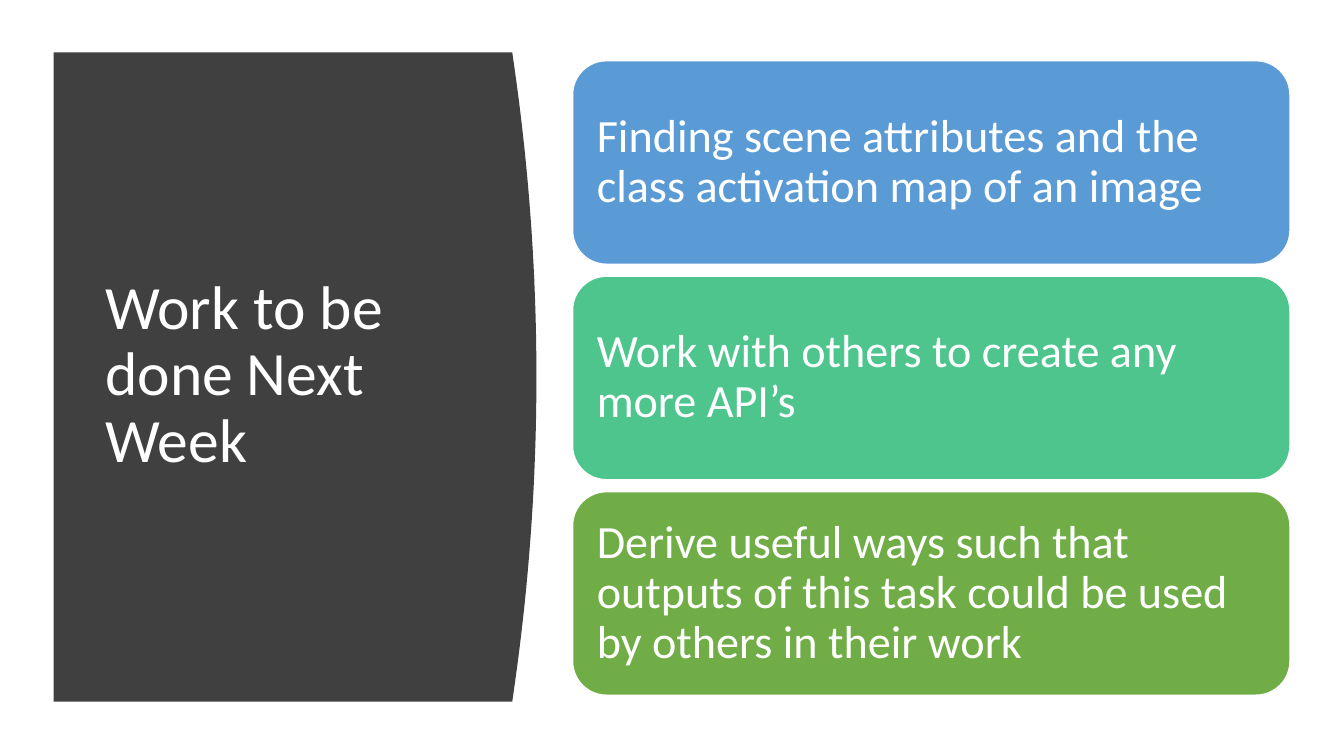
import pptx
import pptx.dml.color
import pptx.enum.shapes
import pptx.enum.text
import pptx.util

Cm = pptx.util.Cm
Pt = pptx.util.Pt
RGBColor = pptx.dml.color.RGBColor

WHITE = RGBColor(0xFF, 0xFF, 0xFF)
CHARCOAL = RGBColor(0x40, 0x40, 0x40)
BLUE = RGBColor(0x5B, 0x9B, 0xD5)
MINT = RGBColor(0x4D, 0xC5, 0x8D)
GREEN = RGBColor(0x70, 0xAD, 0x47)


def apply(target, values):
    for name, value in values.items():
        setattr(target, name, value)


class Deck:
    frame_format = {
        "word_wrap": True,
        "auto_size": pptx.enum.text.MSO_AUTO_SIZE.NONE,
        "vertical_anchor": pptx.enum.text.MSO_ANCHOR.MIDDLE,
    }
    paragraph_format = {
        "alignment": pptx.enum.text.PP_ALIGN.LEFT,
        "line_spacing": 0.9,
    }
    font_format = {"name": "Calibri"}

    def __init__(self, width, height):
        self.presentation = pptx.Presentation()
        apply(self.presentation, {"slide_width": width, "slide_height": height})
        layout = self.presentation.slide_layouts.get_by_name("Title Only")
        self.slide = self.presentation.slides.add_slide(layout)

    def set_text(self, shape, wording, size, **frame_values):
        frame = shape.text_frame
        frame.text = wording
        apply(frame, self.frame_format | frame_values)
        paragraph = frame.paragraphs[0]
        apply(paragraph, self.paragraph_format)
        font = paragraph.runs[0].font
        apply(font, self.font_format | {"size": size})
        font.color.rgb = WHITE

    def paint(self, shape, colour):
        shape.shadow.inherit = False
        shape.fill.solid()
        shape.fill.fore_color.rgb = colour

    def bowed_panel(self, left, top, width, height, bulge, colour, steps=40):
        edge = []
        for step in range(steps + 1):
            offset = 2 * step / steps - 1
            x = left + width - bulge * offset ** 2
            edge.append((round(x), round(top + height * step / steps)))
        builder = self.slide.shapes.build_freeform(left, top, scale=1.0)
        builder.add_line_segments(edge + [(left, top + height)], close=True)
        panel = builder.convert_to_shape()
        self.paint(panel, colour)
        panel.line.fill.background()

    def title(self, wording, size, **place):
        heading = self.slide.shapes.title
        apply(heading, place)
        self.set_text(heading, wording, size)
        self.slide.shapes.element.append(heading.element)

    def card(self, left, top, width, height, wording, size, colour):
        card = self.slide.shapes.add_shape(
            pptx.enum.shapes.MSO_SHAPE.ROUNDED_RECTANGLE, left, top, width, height
        )
        self.paint(card, colour)
        card.line.color.rgb = WHITE
        card.line.width = Pt(1)
        # The rounded corners already add about a third of the inset.
        self.set_text(card, wording, size, margin_left=Cm(0.36), margin_right=Cm(0.36))


deck = Deck(Cm(33.87), Cm(19.05))
deck.bowed_panel(Cm(1.35), Cm(1.32), Cm(12.17), Cm(16.36), Cm(0.61), CHARCOAL)
deck.title(
    "Work to be done Next Week", Pt(44),
    left=Cm(2.4), top=Cm(2.82), width=Cm(9.5), height=Cm(13.3),
)

tasks = [
    ("Finding scene attributes and the class activation map of an image", BLUE),
    ("Work with others to create any more API’s", MINT),
    ("Derive useful ways such that outputs of this task could be used by others in their work", GREEN),
]
first_top, card_height, gap = Cm(1.53), Cm(5.13), Cm(0.3)
for index, (task, colour) in enumerate(tasks):
    task_top = first_top + index * (card_height + gap)
    deck.card(Cm(14.43), task_top, Cm(18.08), card_height, task, Pt(33), colour)

deck.presentation.save("out.pptx")
